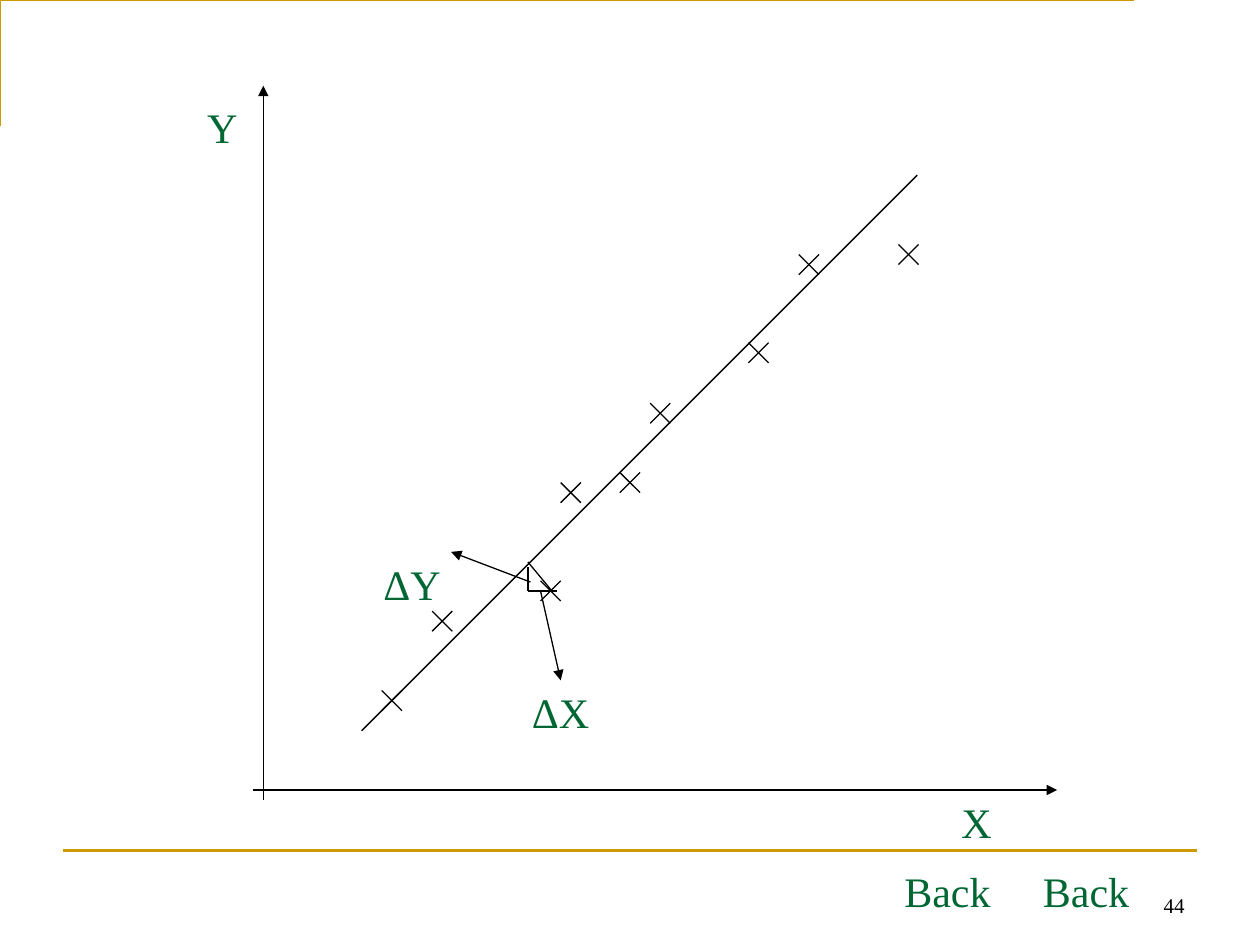
from typing import NamedTuple

from lxml.etree import SubElement
from pptx import Presentation
from pptx.dml.color import RGBColor
from pptx.enum.shapes import MSO_CONNECTOR as Link
from pptx.enum.text import MSO_ANCHOR as Anchor, PP_ALIGN as Align
from pptx.oxml.ns import qn
from pptx.util import Inches, Pt

BLACK = RGBColor(0x00, 0x00, 0x00)
GOLD = RGBColor(0xCC, 0x99, 0x00)
GREEN = RGBColor(0x00, 0x66, 0x33)
FONT = "Times New Roman"
ARM = 0.08  # half the width of a cross


class Line(NamedTuple):
    x1: float
    y1: float
    x2: float
    y2: float
    arrow: bool = False
    color: RGBColor = BLACK
    width: float = 0.75


class Label(NamedTuple):
    text: str
    left: float
    top: float
    width: float = 0.94
    height: float = 0.47
    size: int = 24
    color: RGBColor = GREEN
    align: Align = Align.CENTER
    anchor: Anchor = Anchor.TOP


LINES = [
    Line(0.5, 6.75, 9.5, 6.75, color=GOLD, width=1.5),  # footer rule
    Line(2.09, 6.35, 2.09, 0.68, arrow=True),  # Y axis
    Line(2.01, 6.27, 8.39, 6.27, arrow=True),  # X axis
    Line(2.87, 5.8, 7.28, 1.39),  # fitted line
    # Triangle between the line and one point
    Line(4.38, 4.69, 4.19, 4.46),
    Line(4.19, 4.5, 4.19, 4.69),
    Line(4.19, 4.69, 4.42, 4.69),
    # Pointers to the deltas
    Line(4.29, 4.69, 4.45, 5.4, arrow=True),
    Line(4.21, 4.62, 3.58, 4.38, arrow=True),
]

POINTS = [
    (3.11, 5.56), (3.51, 4.93), (4.37, 4.69), (4.53, 3.91), (5.24, 3.28),
    (5.0, 3.83), (6.02, 2.8), (7.21, 2.02), (6.42, 2.1),
]

LABELS = [
    Label("ΔX", 3.98, 5.4),
    Label("Y", 1.53, 0.76, width=0.47),
    Label("Back", 8.15, 6.82),
    Label("ΔY", 2.8, 4.38),
    Label("X", 7.28, 6.27),
    Label("Back", 7.05, 6.82),
    Label("44", 7.17, 6.83, 2.33, 0.5, 12, BLACK, Align.RIGHT, Anchor.BOTTOM),
]


def draw_line(shapes, item: Line) -> None:
    ends = (Inches(v) for v in (item.x1, item.y1, item.x2, item.y2))
    link = shapes.add_connector(Link.STRAIGHT, *ends)
    link.line.color.rgb = item.color
    link.line.width = Pt(item.width)
    if item.arrow:
        SubElement(link.line._get_or_add_ln(), qn("a:tailEnd"), type="triangle")
    SubElement(link._element.spPr, qn("a:effectLst"))


def draw_cross(shapes, x: float, y: float) -> None:
    group = shapes.add_group_shape()
    for rise in (ARM, -ARM):
        draw_line(group.shapes, Line(x - ARM, y - rise, x + ARM, y + rise))


def draw_label(shapes, item: Label) -> None:
    spot = (Inches(v) for v in (item.left, item.top, item.width, item.height))
    frame = shapes.add_textbox(*spot).text_frame
    frame.word_wrap = True
    frame.vertical_anchor = item.anchor
    frame.text = item.text
    par = frame.paragraphs[0]
    par.alignment = item.align
    font = par.runs[0].font
    font.name = FONT
    font.size = Pt(item.size)
    font.color.rgb = item.color


def draw_corner(shapes) -> None:
    pen = shapes.build_freeform(0.42, 0.92, scale=Inches(1))
    pen.add_line_segments([(0.42, 0.25), (9.42, 0.25)], close=False)
    corner = pen.convert_to_shape()
    corner.fill.background()
    corner.line.color.rgb = GOLD
    corner.line.width = Pt(1.5)
    corner.shadow.inherit = False


def main() -> None:
    deck = Presentation()
    deck.slide_width = Inches(10)
    deck.slide_height = Inches(7.5)
    shapes = deck.slides.add_slide(deck.slide_layouts[6]).shapes

    # Frame, axes and fitted line
    draw_corner(shapes)
    for item in LINES:
        draw_line(shapes, item)

    # Data points
    for x, y in POINTS:
        draw_cross(shapes, x, y)

    # Texts
    for item in LABELS:
        draw_label(shapes, item)

    deck.save("out.pptx")


if __name__ == "__main__":
    main()
